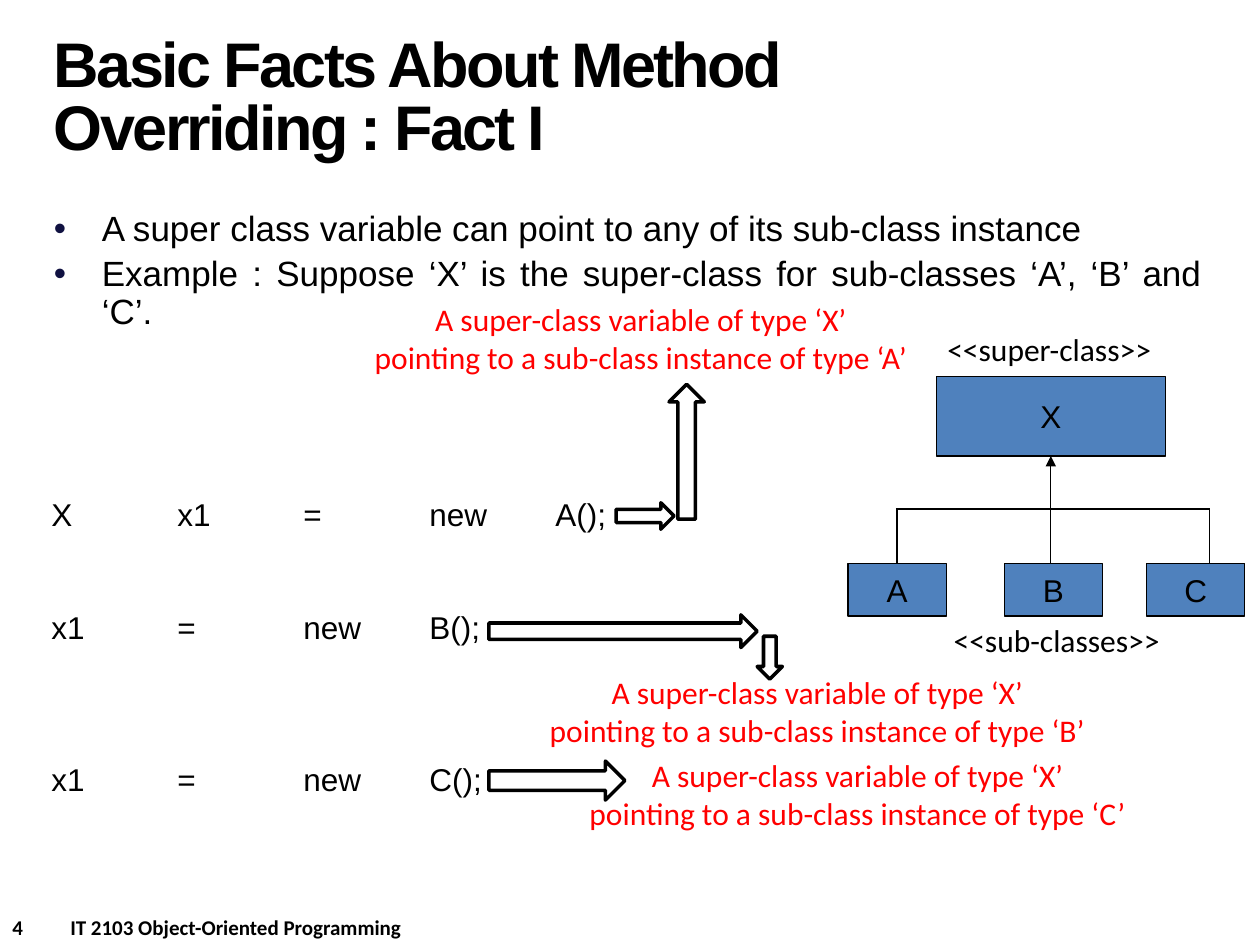
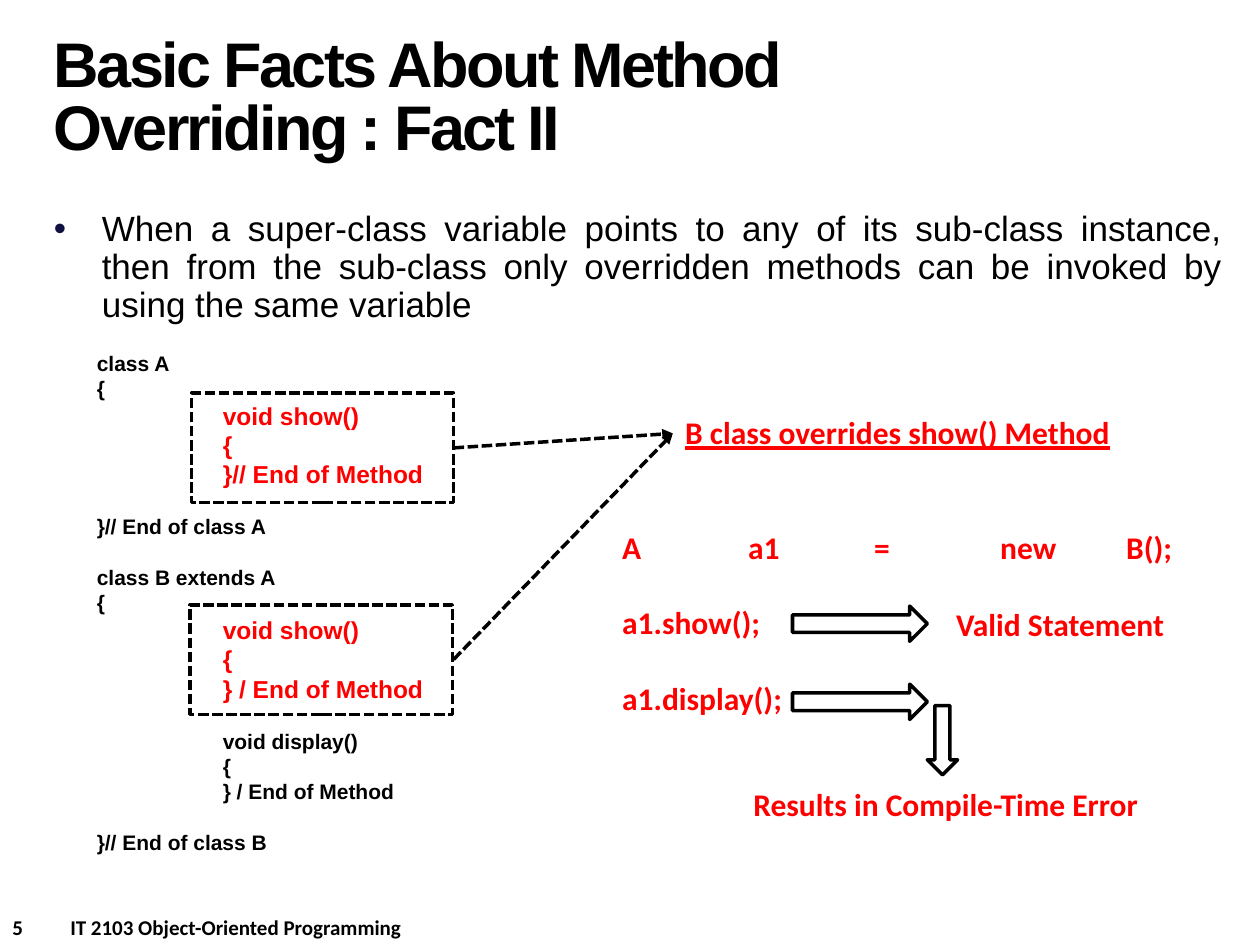
from lxml import etree
from pptx import Presentation
from pptx.dml.color import RGBColor
from pptx.enum.dml import MSO_LINE
from pptx.enum.shapes import MSO_CONNECTOR, MSO_SHAPE
from pptx.enum.text import MSO_ANCHOR, PP_ALIGN
from pptx.oxml.ns import qn
from pptx.util import Inches, Pt

STRAIGHT = MSO_CONNECTOR.STRAIGHT
RECT = MSO_SHAPE.RECTANGLE
RIGHT, UP, DOWN = MSO_SHAPE.RIGHT_ARROW, MSO_SHAPE.UP_ARROW, MSO_SHAPE.DOWN_ARROW
MIDDLE = MSO_ANCHOR.MIDDLE
CENTER, JUSTIFY = PP_ALIGN.CENTER, PP_ALIGN.JUSTIFY
DASH = MSO_LINE.SQUARE_DOT

COLORS = {"text": "000000", "accent": "FF0000", "class": "4F81BD",
          "paper": "FFFFFF", "bullet": "101141"}
HEAD, BODY = "Arial", "Calibri"
LEADING = 1.2  # line height as a multiple of the text size
CODE_TABS = (1, 2, 3, 4)  # tab stops in inches


def rgb(name):
    return RGBColor.from_string(COLORS[name])


# Basic parts

def add_run(p, text, size, font, color="text", bold=False):
    r = p.add_run()
    r.text = text
    r.font.size, r.font.name, r.font.bold = Pt(size), font, bold
    r.font.color.rgb = rgb(color)
    return r


def add_tabs(p, stops):
    tabs = etree.SubElement(p._p.get_or_add_pPr(), qn("a:tabLst"))
    for stop in stops:
        etree.SubElement(tabs, qn("a:tab"), pos=str(Inches(stop)), algn="l")


def add_box(s, x, y, w, h, wrap=True):
    tf = s.shapes.add_textbox(Inches(x), Inches(y), Inches(w), Inches(h)).text_frame
    tf.word_wrap = wrap
    return tf


def add_paragraph(tf):
    first = tf.paragraphs[0]
    return tf.add_paragraph() if first.runs else first


def add_line(tf, text, size=18, font=BODY, color="text", bold=False, skip=0):
    """Add a line of text, `skip` line heights below the one before."""
    p = add_paragraph(tf)
    p.line_spacing = Pt(size * LEADING)
    p.space_before = Pt(skip * size * LEADING)
    if "\t" in text:
        add_tabs(p, CODE_TABS)
    return p, add_run(p, text, size, font, color, bold)


def add_label(s, x, y, w, text, color="text", bold=False):
    return add_line(add_box(s, x, y, w, 0.4, wrap=False), text, color=color, bold=bold)[1]


def add_outline(s, kind, x, y, w, h, fill=None, weight=2):
    sp = s.shapes.add_shape(kind, Inches(x), Inches(y), Inches(w), Inches(h))
    sp.shadow.inherit = False
    if fill:
        sp.fill.solid()
        sp.fill.fore_color.rgb = rgb(fill)
    else:
        sp.fill.background()
    sp.line.color.rgb = rgb("text")
    sp.line.width = Pt(weight)
    return sp


def add_connector(s, x1, y1, x2, y2, weight=0.75, arrow=False):
    c = s.shapes.add_connector(STRAIGHT, Inches(x1), Inches(y1), Inches(x2), Inches(y2))
    c.line.color.rgb = rgb("text")
    c.line.width = Pt(weight)
    if arrow:
        etree.SubElement(c.line._get_or_add_ln(), qn("a:tailEnd"), type="triangle")
    etree.SubElement(c._element.spPr, qn("a:effectLst"))
    return c


# Parts shared by the slides

def add_title(s, text):
    tf = add_box(s, 0.33, 0.17, 6.92, 1.25)
    tf.vertical_anchor = MIDDLE
    p = tf.paragraphs[0]
    p.line_spacing = Pt(36)
    r = add_run(p, text, 36, HEAD, bold=True)
    r.font._element.set("spc", "-150")


def add_bullets(s, width, items):
    tf = add_box(s, 0.33, 1.63, width, 1.09)
    for item in items:
        p = add_paragraph(tf)
        p.alignment, p.line_spacing, p.space_before = JUSTIFY, 0.9, Pt(4)
        pPr = p._p.get_or_add_pPr()
        pPr.set("marL", str(Inches(0.38)))
        pPr.set("indent", str(-Inches(0.38)))
        color = etree.SubElement(pPr, qn("a:buClr"))
        etree.SubElement(color, qn("a:srgbClr"), val=COLORS["bullet"])
        etree.SubElement(pPr, qn("a:buFont"), typeface=HEAD)
        etree.SubElement(pPr, qn("a:buChar"), char="•")
        add_run(p, item, 20, HEAD)


def add_footer(s, number):
    p = add_box(s, 0, 7.21, 5, 0.3).paragraphs[0]
    add_tabs(p, [0.46])
    add_run(p, f"{number}\tIT 2103 Object-Oriented Programming", 12, BODY, bold=True)


def new_slide(prs, number, title, bullets, width):
    s = prs.slides.add_slide(prs.slide_layouts[6])
    s.background.fill.solid()
    s.background.fill.fore_color.rgb = rgb("paper")
    add_footer(s, number)
    add_bullets(s, width, bullets)
    add_title(s, title)
    return s


# Slide 4: class tree and assignments

def add_class(s, name, x, y, w, h):
    tf = add_outline(s, RECT, x, y, w, h, "class", 0.75).text_frame
    tf.word_wrap = False
    tf.vertical_anchor = MIDDLE
    p = tf.paragraphs[0]
    p.alignment = CENTER
    add_run(p, name, 18, HEAD)


def add_class_tree(s, x, y):
    """Super-class above its three sub-classes; x, y is the top left corner."""
    trunk, root_bottom, bar, leaf_top = x + 1.61, y + 1.05, y + 1.47, y + 1.9
    add_class(s, "X", x + 0.7, y + 0.42, 1.82, 0.63)
    add_connector(s, trunk, bar, trunk, root_bottom, arrow=True)
    add_connector(s, x + 0.38, bar, x + 2.87, bar)
    for name, left, drop in (("A", 0, 0.39), ("B", 1.24, 1.61), ("C", 2.37, 2.87)):
        add_class(s, name, x + left, leaf_top, 0.78, 0.42)
        add_connector(s, x + drop, bar, x + drop, leaf_top)
    add_label(s, x + 0.69, y, 1.84, "<<super-class>>")
    add_label(s, x + 0.74, y + 2.31, 1.86, "<<sub-classes>>")


def add_assignments(s, x, y):
    tf = add_box(s, x, y, 4.65, 2.83, wrap=False)
    for text, skip in (("X\tx1\t=\tnew\tA();", 0),
                       ("x1\t=\tnew\tB();", 2),
                       ("x1\t=\tnew\tC();", 3)):
        add_line(tf, text, font=HEAD, skip=skip)


def add_pointer_note(s, x, y, name):
    tf = add_box(s, x, y, 4.59, 0.71)
    for text in ("A super-class variable of type ‘X’ ",
                 f"pointing to a sub-class instance of type ‘{name}’ "):
        p, _ = add_line(tf, text, color="accent")
        p.alignment = CENTER


def build_fact_one(prs):
    s = new_slide(prs, 4, "Basic Facts About Method Overriding : Fact I", [
        "A super class variable can point to any of its sub-class instance",
        "Example : Suppose ‘X’ is the super-class for sub-classes ‘A’, ‘B’ and ‘C’.",
    ], 9.31)
    add_class_tree(s, 6.73, 2.57)
    add_assignments(s, 0.31, 3.88)
    for kind, x, y, w, h in ((RIGHT, 4.89, 3.99, 0.46, 0.21),
                             (UP, 5.31, 3.05, 0.28, 1.07),
                             (RIGHT, 3.88, 4.88, 2.13, 0.26),
                             (DOWN, 6.01, 5.05, 0.2, 0.34),
                             (RIGHT, 3.88, 6.04, 1.08, 0.31)):
        add_outline(s, kind, x, y, w, h, "paper")
    for name, x, y in (("A", 2.82, 2.33), ("B", 4.22, 5.29), ("C", 4.54, 5.95)):
        add_pointer_note(s, x, y, name)


# Slide 5: class listing and calls

def add_listing(s, x, y):
    tf = add_box(s, x, y, 3.23, 4.14)

    def code(text, skip=0):
        add_line(tf, text, 12, HEAD, bold=True, skip=skip)

    def overridden(end):
        for text in ("\tvoid show()", "\t{", "\t" + end):
            add_line(tf, text, 14, HEAD, "accent", True)

    code("class A")
    code("{")
    overridden("}// End of Method")
    code("}// End of class A", 1)
    code("class B extends A", 1)
    code("{")
    overridden("} / End of Method")
    code("\tvoid display()", 1)
    code("\t{")
    code("\t} / End of Method")
    code("}// End of class B", 1)


def add_override_links(s, x, y):
    """Dashed frames round both show() methods, each linked to the label."""
    w, h = 2.08, 0.87
    for left, top in ((x + 0.01, y), (x, y + 1.68)):
        frame = add_outline(s, RECT, left, top, w, h)
        link = add_connector(s, x + w + 0.01, top + h / 2, x + 3.83, y + 0.32, 2, True)
        for part in (frame, link):
            part.line.dash_style = DASH
    r = add_label(s, x + 3.83, y + 0.11, 3.6, "B class overrides show() Method", "accent", True)
    r.font.underline = True


def add_calls(s, x, y):
    tf = add_box(s, x, y, 4.6, 1.62, wrap=False)
    for i, text in enumerate(("A\ta1\t=\tnew\tB();", "a1.show();", "a1.display();")):
        add_line(tf, text, color="accent", bold=True, skip=min(i, 1))
    for top in (0.67, 1.29):
        add_outline(s, RIGHT, x + 1.45, y + top, 1.07, 0.28)
    add_outline(s, DOWN, x + 2.52, y + 1.46, 0.24, 0.55)
    add_label(s, x + 2.65, y + 0.61, 1.87, "Valid Statement", "accent", True)
    add_label(s, x + 1.04, y + 2.04, 3.29, "Results in Compile-Time Error", "accent", True)


def build_fact_two(prs):
    s = new_slide(prs, 5, "Basic Facts About Method Overriding : Fact II", [
        "When a super-class variable points to any of its sub-class instance, then from "
        "the sub-class only overridden methods can be invoked by using the same variable",
    ], 9.47)
    add_listing(s, 0.67, 2.73)
    add_override_links(s, 1.51, 3.12)
    add_calls(s, 4.84, 4.14)


prs = Presentation()
prs.slide_width, prs.slide_height = Inches(10), Inches(7.5)
build_fact_one(prs)
build_fact_two(prs)
prs.save("out.pptx")
